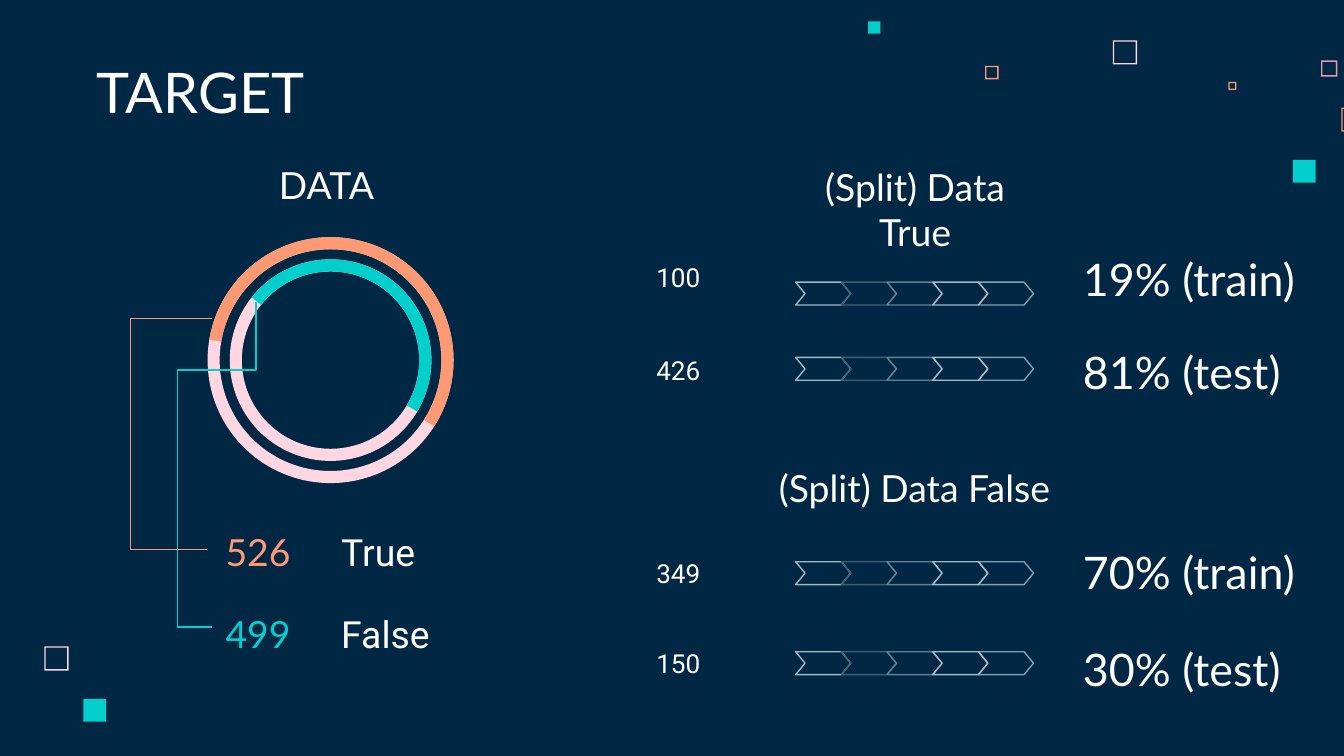
from lxml.etree import SubElement
from pptx import Presentation
from pptx.dml.color import RGBColor
from pptx.enum.shapes import MSO_CONNECTOR, MSO_SHAPE
from pptx.enum.text import MSO_ANCHOR, MSO_AUTO_SIZE, PP_ALIGN
from pptx.oxml.ns import qn
from pptx.util import Inches, Pt

THEME = {
    "back": "002845", "white": "FFFFFF", "pink": "FFD6E1", "rose": "E898AC",
    "coral": "FF9973", "teal": "00CFCC",
    "steps": ["A5B7C5", "445D73", "667E92", "A5B7C5", "869FB1"],
    "head": "Lato", "body": "Roboto",
    "title": 30, "share": 24, "label": 20, "count": 14, "line": 0.75,
}
TITLE = ("TARGET", 0.62, 0.4, 5.17, 0.63)
FRAMES = [
    (8.28, 0.3, 0.18, "pink"), (9.83, 0.45, 0.12, "rose"),
    (9.14, 0.61, 0.06, "coral"), (9.98, 0.8, 0.18, "coral"),
    (7.33, 0.49, 0.1, "coral"), (0.33, 4.81, 0.18, "pink"),
]
BLOCKS = [(9.62, 1.19, 0.17), (6.46, 0.16, 0.09), (0.62, 5.2, 0.17)]
RINGS = [(1.83, "coral", 189.6, 32.6), (1.5, "teal", 218.5, 30.7)]
HEADS = [
    ("DATA", 1.4, 1.11, 2.06),
    ("(Split) Data True", 5.78, 1.12, 2.06),
    ("(Split) Data False", 5.62, 3.36, 2.37),
]
LEGEND = [("526", "True", "coral", 3.84), ("499", "False", "teal", 4.45)]
SPLITS = [
    ("100", 1.85, "19% (train)", 1.86, 2.1),
    ("426", 2.54, "81% (test)", 2.55, 2.66),
    ("349", 4.05, "70% (train)", 4.04, 4.18),
    ("150", 4.72, "30% (test)", 4.76, 4.85),
]
TRACE = [(1.58, 2.37), (0.97, 2.37), (0.97, 4.09), (1.54, 4.09)]
CENTER = (2.46, 2.68)
BAND = 0.09
EDGE = 0.01
ROW = 0.43
STEP = 0.34
ORDER = [0, 1, 2, 4, 3]
TURN = 0.6


def paint(name):
    return RGBColor.from_string(THEME.get(name, name))


def write(box, text, size, font="head", color="white",
          align=PP_ALIGN.LEFT, anchor=MSO_ANCHOR.TOP):
    frame = box.text_frame
    frame.text = text
    frame.word_wrap = True
    frame.auto_size = MSO_AUTO_SIZE.NONE
    frame.vertical_anchor = anchor
    frame.margin_left = frame.margin_right = Inches(0.1)
    frame.margin_top = frame.margin_bottom = Inches(0.1)
    para = frame.paragraphs[0]
    para.alignment = align
    face = para.runs[0].font
    face.name, face.size = THEME[font], Pt(THEME[size])
    face.color.rgb = paint(color)


def label(text, x, y, w, size, **style):
    box = slide.shapes.add_textbox(Inches(x), Inches(y), Inches(w), Inches(ROW))
    write(box, text, size, **style)


def draw(shapes, kind, x, y, w, h, fill=None, line=None, adjust=()):
    item = shapes.add_shape(kind, Inches(x), Inches(y), Inches(w), Inches(h))
    item.shadow.inherit = False
    for i, value in enumerate(adjust):
        item.adjustments[i] = value
    if fill:
        item.fill.solid()
        item.fill.fore_color.rgb = paint(fill)
    else:
        item.fill.background()
    if line:
        item.line.color.rgb = paint(line)
        item.line.width = Pt(THEME["line"])
    else:
        item.line.fill.background()


def wire(kind, start, end, color):
    link = slide.shapes.add_connector(kind, *map(Inches, start + end))
    link.line.color.rgb = paint(color)
    link.line.width = Pt(THEME["line"])
    SubElement(link._element.spPr, qn("a:effectLst"))
    return link


deck = Presentation()
deck.slide_width = Inches(10)
deck.slide_height = deck.slide_width * 9 // 16
slide = deck.slides.add_slide(deck.slide_layouts[5])
slide.background.fill.solid()
slide.background.fill.fore_color.rgb = paint("back")

for x, y, side, color in FRAMES:
    draw(slide.shapes, MSO_SHAPE.FRAME, x, y, side, side, color,
         adjust=[EDGE / side])
for x, y, side in BLOCKS:
    draw(slide.shapes, MSO_SHAPE.RECTANGLE, x, y, side, side, "teal")

name, x, y, w, h = TITLE
title = slide.shapes.title
title.left, title.top, title.width, title.height = map(Inches, (x, y, w, h))
write(title, name, "title", anchor=MSO_ANCHOR.BOTTOM)

for size, color, start, end in RINGS:
    x, y = (c - size / 2 for c in CENTER)
    thick = BAND / size
    draw(slide.shapes, MSO_SHAPE.DONUT, x, y, size, size, "pink", adjust=[thick])
    draw(slide.shapes, MSO_SHAPE.BLOCK_ARC, x, y, size, size, color,
         adjust=[start * TURN, end * TURN, thick])

for text, x, y, w in HEADS:
    label(text, x, y, w, "label", align=PP_ALIGN.CENTER)
for count, text, color, y in LEGEND:
    label(count, 1.58, y, 0.92, "label", color=color)
    label(text, 2.44, y, 1.32, "label", font="body")

for start, end in zip(TRACE, TRACE[1:]):
    wire(MSO_CONNECTOR.STRAIGHT, start, end, "coral")

bend = wire(MSO_CONNECTOR.ELBOW, (0.53, 3.29), (2.95, 3.62), "teal")
props = bend._element.spPr
props.find(qn("a:xfrm")).set("rot", str(90 * 60000))
shape = props.find(qn("a:prstGeom"))
shape.set("prst", "bentConnector4")
guides = shape.find(qn("a:avLst"))
for key, value in (("adj1", 21000), ("adj2", 176700)):
    SubElement(guides, qn("a:gd"), name=key, fmla=f"val {value}")

for count, low, share, high, top in SPLITS:
    label(count, 3.99, low, 1.32, "count", font="body",
          align=PP_ALIGN.RIGHT, anchor=MSO_ANCHOR.MIDDLE)
    label(share, 7.96, high, 1.84, "share", anchor=MSO_ANCHOR.MIDDLE)
    group = slide.shapes.add_group_shape()
    for i in ORDER:
        draw(group.shapes, MSO_SHAPE.CHEVRON, 5.92 + i * STEP, top, 0.41, 0.17,
             line=THEME["steps"][i], adjust=[0.41])

deck.save("out.pptx")
